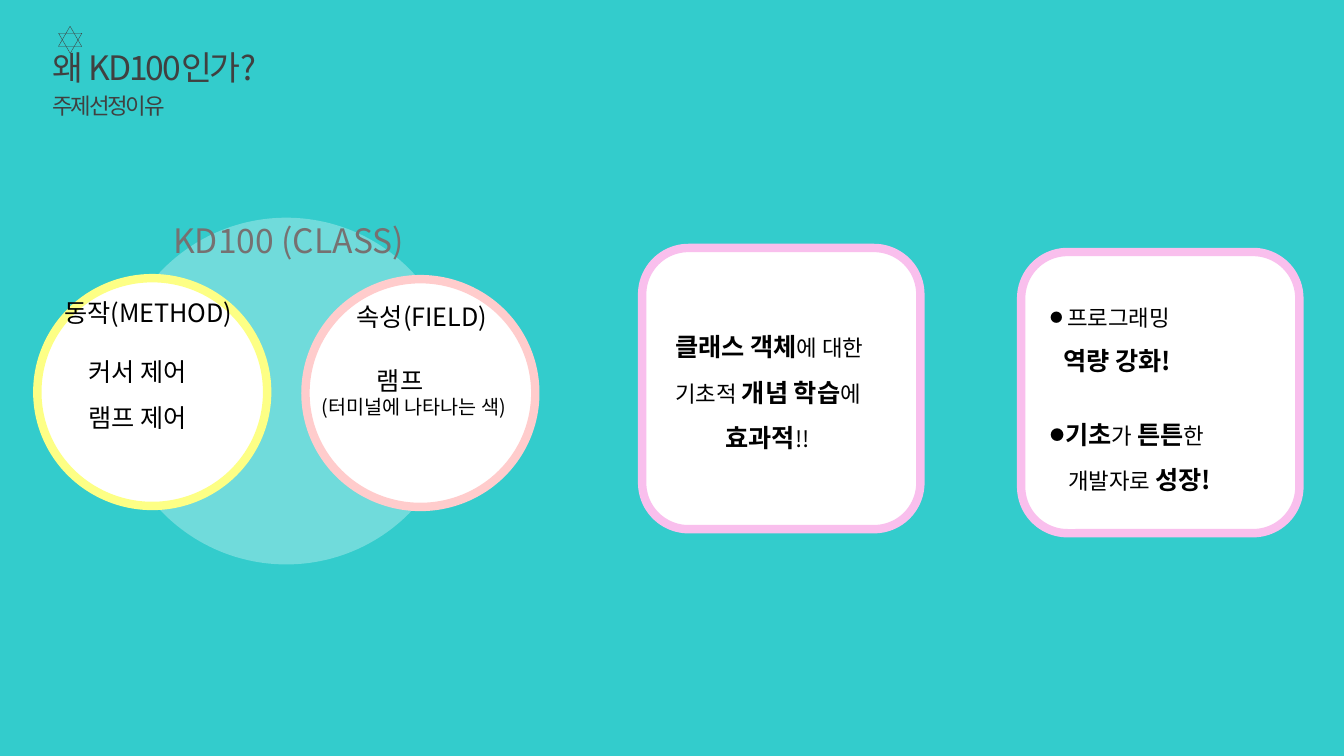
from dataclasses import dataclass

from lxml.etree import SubElement
from pptx import Presentation
from pptx.dml.color import RGBColor
from pptx.enum.shapes import MSO_SHAPE
from pptx.enum.text import MSO_ANCHOR, MSO_AUTO_SIZE, PP_ALIGN
from pptx.oxml.ns import qn
from pptx.util import Inches, Pt

SLIDE_WIDTH, SLIDE_HEIGHT = Inches(13.33), Inches(7.5)


@dataclass(frozen=True)
class Theme:
    font: str = "Noto Sans CJK KR"
    background: str = "33CCCC"
    heading: str = "404040"
    class_name: str = "767171"
    text: str = "000000"
    white: str = "FFFFFF"
    card_border: str = "F9BFED"
    method_border: str = "FDFF85"
    field_border: str = "FFCCCC"
    title: int = 24
    strong: int = 18
    body: int = 16
    note: int = 14
    border: int = 6
    hairline: float = 0.25
    tracking: int = -150


THEME = Theme()


def box(left, top, width, height):
    """Turn percentages of the slide's size into a position and a size."""
    return (int(SLIDE_WIDTH * left / 100), int(SLIDE_HEIGHT * top / 100),
            int(SLIDE_WIDTH * width / 100), int(SLIDE_HEIGHT * height / 100))


def strong(text):
    """Describe a bold run."""
    return text, THEME.strong, True


def plain(text, size=THEME.body):
    """Describe a regular run."""
    return text, size, False


def line(*runs, indent=0, bullet=False, before=0):
    """Describe a paragraph."""
    return {"runs": runs, "indent": indent, "bullet": bullet, "before": before}


def add_run(paragraph, text, size, bold, color, tracking):
    """Append one formatted run."""
    run = paragraph.add_run()
    run.text = text
    run.font.name = THEME.font
    run.font.size = Pt(size)
    run.font.bold = bold
    run.font.color.rgb = RGBColor.from_string(color)
    properties = run._r.get_or_add_rPr()
    SubElement(properties, qn("a:ea")).set("typeface", THEME.font)
    if tracking:
        properties.set("spc", str(tracking))


def indent_paragraph(paragraph, indent, bullet):
    """Set the left indent and, if asked, a hanging round bullet."""
    properties = paragraph._p.get_or_add_pPr()
    properties.set("marL", str(Inches(indent)))
    properties.set("indent", str(-Inches(indent) if bullet else 0))
    if bullet:
        SubElement(properties, qn("a:buSzPct")).set("val", "56000")
        SubElement(properties, qn("a:buFont")).set("typeface", THEME.font)
        SubElement(properties, qn("a:buChar")).set("char", "●")


def fill_text(shape, lines, color=THEME.text, spacing=1.0, tracking=0):
    """Write paragraphs into a text shape that grows with its text."""
    frame = shape.text_frame
    frame.word_wrap = True
    frame.auto_size = MSO_AUTO_SIZE.SHAPE_TO_FIT_TEXT
    frame.vertical_anchor = MSO_ANCHOR.TOP
    for index, item in enumerate(lines):
        paragraph = frame.add_paragraph() if index else frame.paragraphs[0]
        paragraph.alignment = PP_ALIGN.LEFT
        paragraph.line_spacing = spacing
        paragraph.space_before = Pt(item["before"])
        indent_paragraph(paragraph, item["indent"], item["bullet"])
        for text, size, bold in item["runs"]:
            add_run(paragraph, text, size, bold, color, tracking)


def add_text(slide, place, lines, **style):
    """Add a text box."""
    fill_text(slide.shapes.add_textbox(*box(*place)), lines, **style)


def add_title(slide, place, text):
    """Move and fill the title placeholder."""
    title = slide.shapes.title
    title.left, title.top, title.width, title.height = box(*place)
    fill_text(title, [line(plain(text, THEME.title))],
              color=THEME.heading, tracking=THEME.tracking)


def add_panel(slide, kind, place, border):
    """Add a white shape with a thick coloured border."""
    panel = slide.shapes.add_shape(kind, *box(*place))
    panel.shadow.inherit = False
    panel.fill.solid()
    panel.fill.fore_color.rgb = RGBColor.from_string(THEME.white)
    panel.line.color.rgb = RGBColor.from_string(border)
    panel.line.width = Pt(THEME.border)


def add_halo(slide, place, opacity):
    """Add a translucent white circle."""
    halo = slide.shapes.add_shape(MSO_SHAPE.OVAL, *box(*place))
    halo.shadow.inherit = False
    halo.fill.solid()
    halo.fill.fore_color.rgb = RGBColor.from_string(THEME.white)
    color = halo.fill._xPr.find(qn("a:solidFill"))[0]
    SubElement(color, qn("a:alpha")).set("val", str(opacity * 1000))
    halo.line.fill.background()


def add_star(slide):
    """Add a six-pointed star made of two outlined triangles."""
    group = slide.shapes.add_group_shape()
    for left, top, rotation in ((4.35, 3.47, 0), (4.58, 3.73, 60)):
        triangle = group.shapes.add_shape(
            MSO_SHAPE.ISOSCELES_TRIANGLE, *box(left, top, 1.73, 2.67))
        triangle.rotation = rotation
        triangle.shadow.inherit = False
        triangle.fill.background()
        triangle.line.color.rgb = RGBColor.from_string(THEME.heading)
        triangle.line.width = Pt(THEME.hairline)


def add_class_diagram(slide):
    """Add the class circle with its method and field circles."""
    add_halo(slide, (8.4, 28.8, 25.8, 45.87), 30)
    add_text(slide, (12.15, 28.4, 19.43, 6.67),
             [line(plain("KD100 (CLASS)", THEME.title))], color=THEME.class_name)
    for left, top, border in ((2.78, 36.8, THEME.method_border),
                              (22.73, 36.93, THEME.field_border)):
        add_panel(slide, MSO_SHAPE.OVAL, (left, top, 17.1, 30.13), border)
    add_text(slide, (4.05, 38.67, 14.78, 5.33),
             [line(plain("동작(METHOD)", THEME.strong))])
    add_text(slide, (5.85, 44.53, 11.48, 13.47),
             [line(plain(text, THEME.strong)) for text in ("커서 제어", "램프 제어")],
             spacing=1.5)
    add_text(slide, (25.8, 39.2, 12, 5.33),
             [line(plain("속성(FIELD)", THEME.strong))])
    add_text(slide, (23.18, 47.6, 16.58, 8.53),
             [line(plain("램프", THEME.strong), indent=0.55),
              line(plain("(터미널에 나타나는 색)", THEME.note))])


def add_reasons(slide):
    """Add the two cards that give the reasons."""
    for left, top in ((47.78, 32.8), (75.98, 33.33)):
        add_panel(slide, MSO_SHAPE.ROUNDED_RECTANGLE,
                  (left, top, 20.7, 37.2), THEME.card_border)
    add_text(slide, (49.5, 41.2, 18, 23.6), [
        line(strong("클래스 객체"), plain("에 대한")),
        line(plain("기초적 "), strong("개념 학습"), plain("에")),
        line(strong("효과적"), plain("!!"), indent=0.5),
    ], spacing=1.5)
    add_text(slide, (77.4, 37.73, 17.78, 28.53), [
        line(plain("프로그래밍"), indent=0.17, bullet=True),
        line(strong("역량 강화!"), indent=0.13),
        line(strong("기초"), plain("가 "), strong("튼튼"), plain("한"),
             indent=0.15, bullet=True, before=20),
        line(plain("개발자로 "), strong("성장!"), indent=0.18),
    ], spacing=1.5)


def main():
    """Build and save the slide."""
    presentation = Presentation()
    presentation.slide_width, presentation.slide_height = SLIDE_WIDTH, SLIDE_HEIGHT
    slide = presentation.slides.add_slide(presentation.slide_layouts[5])
    slide.background.fill.solid()
    slide.background.fill.fore_color.rgb = RGBColor.from_string(THEME.background)
    add_title(slide, (3.15, 5.6, 57.9, 6.67), "왜 KD100인가?")
    add_text(slide, (3.15, 11.47, 57.9, 4.93), [line(plain("주제선정이유"))],
             color=THEME.heading, tracking=THEME.tracking)
    add_star(slide)
    add_class_diagram(slide)
    add_reasons(slide)
    presentation.save("out.pptx")


if __name__ == "__main__":
    main()
